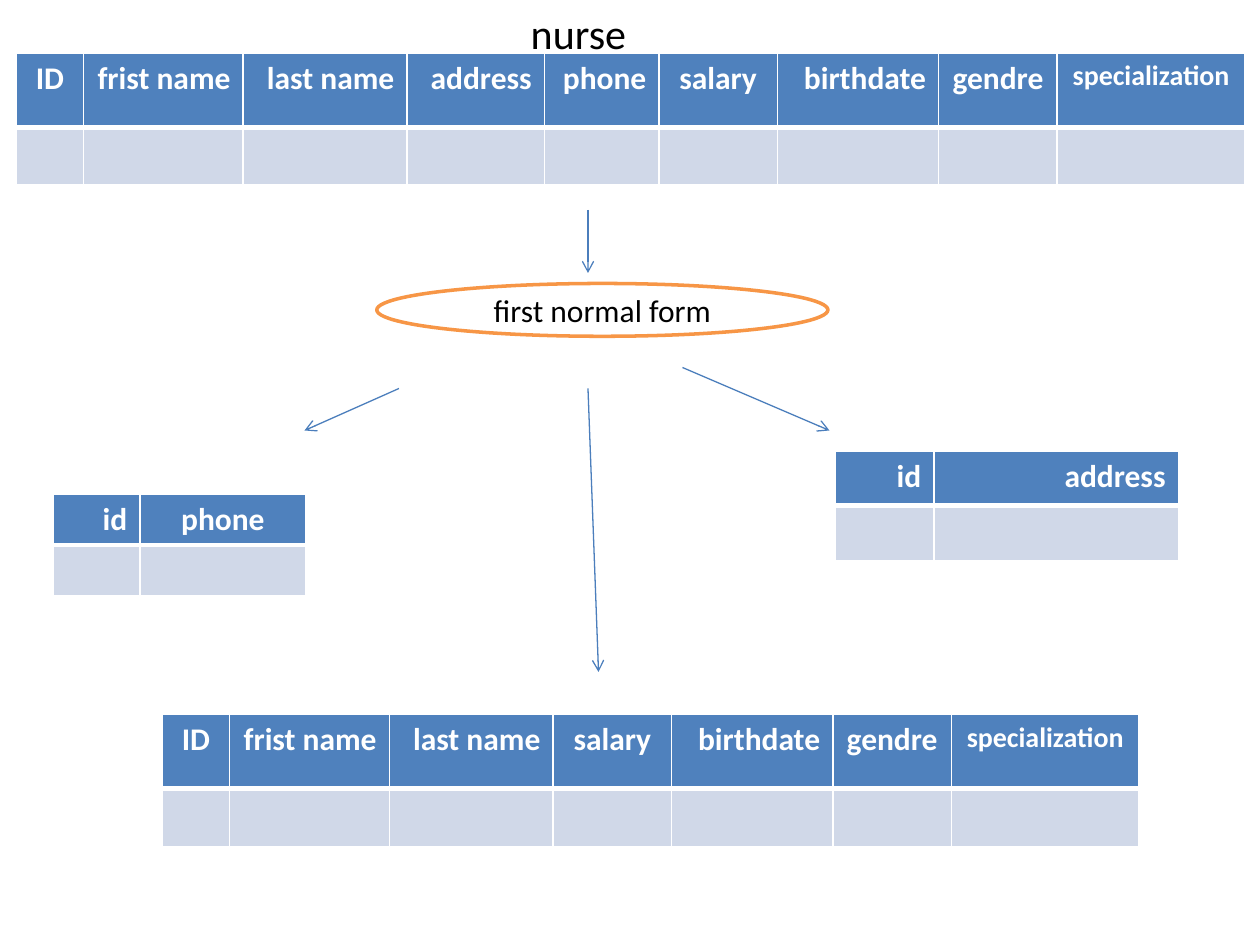
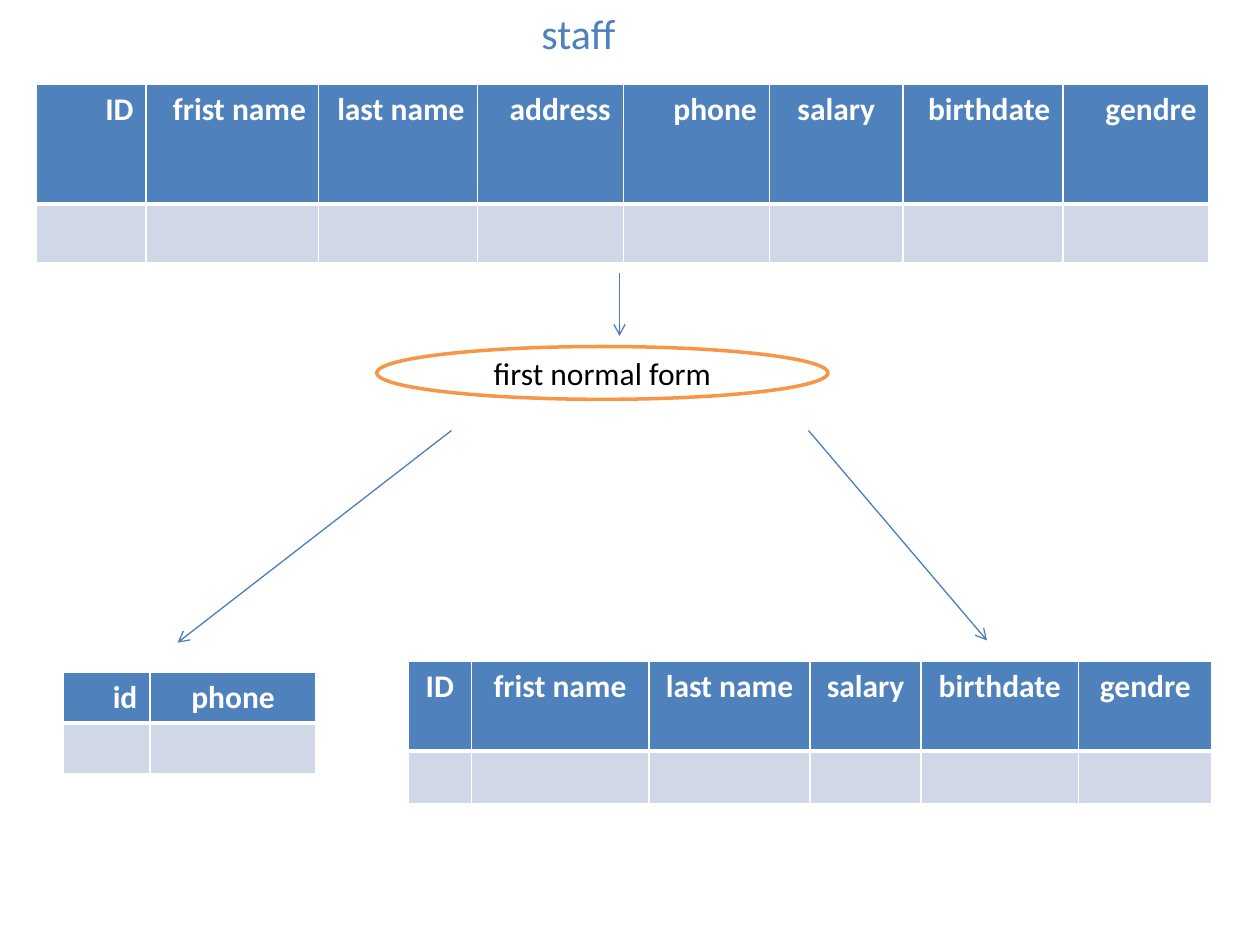
from dataclasses import dataclass
from lxml.etree import SubElement
from pptx import Presentation
from pptx.dml.color import RGBColor
from pptx.enum.shapes import MSO_CONNECTOR, MSO_SHAPE
from pptx.enum.text import MSO_ANCHOR, MSO_AUTO_SIZE, PP_ALIGN
from pptx.oxml.ns import qn
from pptx.util import Pt


@dataclass(frozen=True)
class Theme:
    font: str = "Calibri"
    blue: str = "4F81BD"
    pale: str = "D0D8E8"
    arrow: str = "4B7EBC"
    orange: str = "F79646"
    white: str = "FFFFFF"
    black: str = "000000"
    title_size: int = 24
    body_size: int = 18
    small_size: int = 16


THEME = Theme()
LEFT_EDGE, CENTER = PP_ALIGN.RIGHT, PP_ALIGN.CENTER
RIGHT = PP_ALIGN.RIGHT

# Content: each column is (field, width, alignment)
NURSE = [
    ("ID", 38.2, CENTER), ("frist name", 91.4, RIGHT), ("last name", 93.6, RIGHT),
    ("address", 78.5, RIGHT), ("phone", 65.5, RIGHT), ("salary", 67.7, CENTER),
    ("birthdate", 92.2, RIGHT), ("gendre", 67.7, CENTER),
    ("specialization", 107.3, CENTER),
]
NURSE_MAIN = [column for column in NURSE if column[0] not in ("address", "phone")]
STAFF = [
    ("ID", 62.6, RIGHT), ("frist name", 98.6, RIGHT), ("last name", 90.7, RIGHT),
    ("address", 83.5, RIGHT), ("phone", 83.5, RIGHT), ("salary", 76.3, CENTER),
    ("birthdate", 91.4, RIGHT), ("gendre", 83.5, RIGHT),
]
STAFF_MAIN = [
    ("ID", 36, CENTER), ("frist name", 101.5, CENTER), ("last name", 92.2, CENTER),
    ("salary", 63.4, CENTER), ("birthdate", 90, CENTER), ("gendre", 76.3, CENTER),
]
PHONES = [("id", 49.7, RIGHT), ("phone", 95, CENTER)]
ADDRESSES = [("id", 56.2, RIGHT), ("address", 139.7, RIGHT)]
STEP = "first normal form"

# Tables: (columns, left, top, row heights); arrows: (start, end)
SLIDES = [
    {
        "title": "nurse", "title_color": THEME.black, "step_top": 162,
        "tables": [
            (NURSE, 9.4, 30.2, (42.5, 33.1)),
            (ADDRESSES, 477.4, 257.8, (31.2, 31.2)),
            (NURSE_MAIN, 92.9, 408.2, (42.5, 33.1)),
            (PHONES, 30.2, 282.2, (27.4, 28.8)),
        ],
        "arrows": [
            ((336, 120), (336, 156)), ((228, 222), (174, 246)),
            ((390, 210), (474, 246)), ((336, 222), (342, 384)),
        ],
    },
    {
        "title": "staff", "title_color": THEME.blue, "step_top": 198,
        "tables": [
            (STAFF, 20.9, 48.2, (68.4, 33.8)),
            (STAFF_MAIN, 233.3, 378, (51.1, 30.2)),
            (PHONES, 36, 384, (28.8, 28.8)),
        ],
        "arrows": [
            ((258, 246), (101.5, 367.2)), ((462, 246), (564, 366)),
            ((354, 156), (354, 192)),
        ],
    },
]


def color(value):
    return RGBColor.from_string(value)


def write(frame, text, *, size=THEME.body_size, ink=THEME.black, bold=False,
          align=CENTER):
    paragraph = frame.paragraphs[0]
    paragraph.alignment = align
    paragraph._p.get_or_add_pPr().set("rtl", "1")
    run = paragraph.add_run()
    run.text = text
    run.font.name = THEME.font
    run.font.size = Pt(size)
    run.font.bold = bold
    run.font.color.rgb = color(ink)


def style_cell(cell, fill, bottom):
    """Draw white borders, then fill the cell."""
    properties = cell._tc.get_or_add_tcPr()
    for side, width in (("L", 1), ("R", 1), ("T", 1), ("B", bottom)):
        border = SubElement(properties, qn(f"a:ln{side}"), w=str(Pt(width)))
        solid = SubElement(border, qn("a:solidFill"))
        SubElement(solid, qn("a:srgbClr"), val=THEME.white)
    cell.fill.solid()
    cell.fill.fore_color.rgb = color(fill)


def add_field_table(slide, columns, left, top, heights):
    width = sum(column[1] for column in columns)
    table = slide.shapes.add_table(2, len(columns), Pt(left), Pt(top), Pt(width),
                                   Pt(sum(heights))).table
    table.horz_banding = False
    for row, height in zip(table.rows, heights):
        row.height = Pt(height)
    for index, (field, column_width, align) in enumerate(columns):
        table.columns[index].width = Pt(column_width)
        header, body = table.cell(0, index), table.cell(1, index)
        style_cell(header, THEME.blue, bottom=3)
        style_cell(body, THEME.pale, bottom=1)
        size = THEME.small_size if field == "specialization" else THEME.body_size
        write(header.text_frame, field, size=size, ink=THEME.white, bold=True,
              align=align)


def add_title(slide, text, ink):
    frame = slide.shapes.add_textbox(Pt(252), Pt(0.7), Pt(157), Pt(36)).text_frame
    frame.word_wrap = True
    frame.auto_size = MSO_AUTO_SIZE.SHAPE_TO_FIT_TEXT
    write(frame, text, size=THEME.title_size, ink=ink)


def add_step(slide, top):
    shape = slide.shapes.add_shape(MSO_SHAPE.OVAL, Pt(215.3), Pt(top), Pt(257.8),
                                   Pt(30.2))
    shape.shadow.inherit = False
    shape.fill.solid()
    shape.fill.fore_color.rgb = color(THEME.white)
    shape.line.color.rgb = color(THEME.orange)
    shape.line.width = Pt(2)
    shape.text_frame.word_wrap = True
    shape.text_frame.vertical_anchor = MSO_ANCHOR.MIDDLE
    write(shape.text_frame, STEP)


def add_arrow(slide, start, end):
    connector = slide.shapes.add_connector(
        MSO_CONNECTOR.STRAIGHT, *(Pt(value) for value in start + end))
    connector.line.color.rgb = color(THEME.arrow)
    connector.line.width = Pt(0.75)
    SubElement(connector.line._get_or_add_ln(), qn("a:tailEnd"), type="arrow")
    SubElement(connector._element.spPr, qn("a:effectLst"))


presentation = Presentation()
presentation.slide_width, presentation.slide_height = Pt(720), Pt(540)
for content in SLIDES:
    slide = presentation.slides.add_slide(presentation.slide_layouts[6])
    for table in content["tables"]:
        add_field_table(slide, *table)
    add_title(slide, content["title"], content["title_color"])
    add_step(slide, content["step_top"])
    for start, end in content["arrows"]:
        add_arrow(slide, start, end)
presentation.save("out.pptx")
